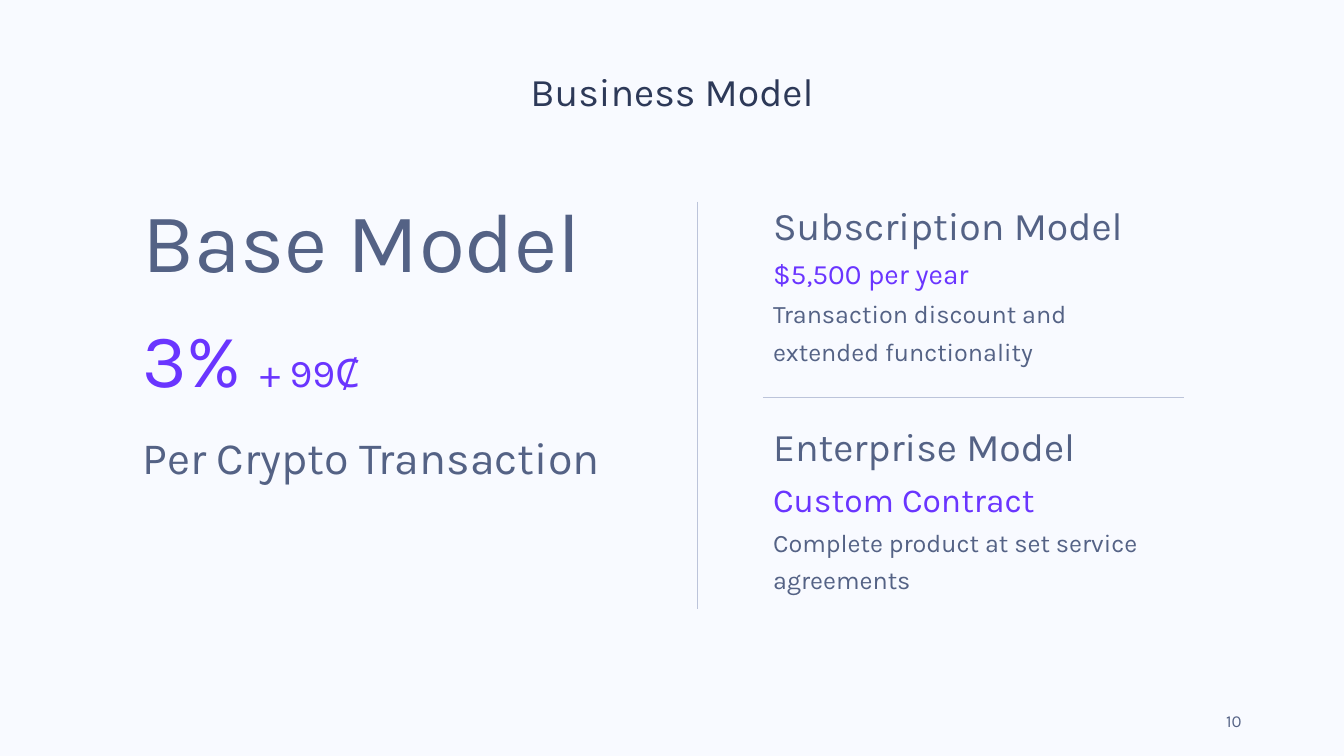
from lxml import etree
from pptx import Presentation
from pptx.dml.color import RGBColor
from pptx.enum.shapes import MSO_CONNECTOR
from pptx.enum.text import MSO_ANCHOR, MSO_AUTO_SIZE, PP_ALIGN
from pptx.oxml.ns import qn
from pptx.util import Pt

STRAIGHT = MSO_CONNECTOR.STRAIGHT
TOP, MIDDLE = MSO_ANCHOR.TOP, MSO_ANCHOR.MIDDLE
LEFT, CENTER, RIGHT = PP_ALIGN.LEFT, PP_ALIGN.CENTER, PP_ALIGN.RIGHT

FONT = "Karla"
COLORS = {
    "background": "F8FAFF",
    "title": "2D3958",
    "text": "546285",
    "price": "6A35FF",
    "divider": "BCC4DA",
}

TITLE = [(1, [("Business Model", 28, "title")])]
PAGE_NUMBER = [(1, [("10", 12, "text")])]
BASE_MODEL = [
    (1.25, [("Base Model", 60, "text")]),
    (1.25, [("3% ", 54, "price"), ("+ 99Ȼ", 28, "price")]),
    (1.5, [("Per Crypto Transaction", 32, "text")]),
]
SUBSCRIPTION_MODEL = [
    (1.25, [("Subscription Model", 28, "text")]),
    (1.25, [("$5,500 per year", 20, "price")]),
    (1.25, [("Transaction discount and extended functionality", 18, "text")]),
]
ENTERPRISE_MODEL = [
    (1.25, [("Enterprise Model", 28, "text")]),
    (1.25, [("Custom Contract", 24, "price")]),
    (1.25, [("Complete product at set service agreements", 18, "text")]),
]

SLIDE_W, SLIDE_H = 960, 540
TITLE_W = 690
RIGHT_X = 545
MODEL_H = 139.5
SUBSCRIPTION_Y = 135.5
ENTERPRISE_Y = 293
TITLE_BOX = ((SLIDE_W - TITLE_W) / 2, 44.5, TITLE_W, 55.5)
BASE_BOX = (94.5, 116.5, 364.5, 317)
SUBSCRIPTION_BOX = (RIGHT_X, SUBSCRIPTION_Y, 276, MODEL_H)
ENTERPRISE_BOX = (RIGHT_X, ENTERPRISE_Y, 336, MODEL_H)
PAGE_BOX = (678, 500.5, 216, 29)
DIVIDERS = [
    (498.5, 144, 498.5, 435),
    (RIGHT_X, 284.25, 845.5, 284.25),
]


def rgb(name):
    return RGBColor.from_string(COLORS[name])


def write(holder, box, paragraphs, align=LEFT, anchor=TOP, inset=0):
    holder.left, holder.top, holder.width, holder.height = map(Pt, box)
    frame = holder.text_frame
    frame.word_wrap = True
    frame.auto_size = MSO_AUTO_SIZE.NONE
    frame.vertical_anchor = anchor
    frame.margin_left = frame.margin_right = Pt(7.2)
    frame.margin_top = frame.margin_bottom = Pt(inset)
    for index, (line_spacing, runs) in enumerate(paragraphs):
        paragraph = frame.add_paragraph() if index else frame.paragraphs[0]
        properties = paragraph._p.get_or_add_pPr()
        properties.set("marL", "0")
        properties.set("indent", "0")
        etree.SubElement(properties, qn("a:buNone"))
        paragraph.alignment = align
        paragraph.line_spacing = line_spacing
        paragraph.space_before = paragraph.space_after = Pt(0)
        for words, size, color in runs:
            run = paragraph.add_run()
            run.text = words
            run.font.name = FONT
            run.font.size = Pt(size)
            run.font.bold = False
            run.font.color.rgb = rgb(color)


def draw_divider(slide, ends):
    divider = slide.shapes.add_connector(STRAIGHT, *map(Pt, ends))
    divider.line.color.rgb = rgb("divider")
    divider.line.width = Pt(0.75)
    etree.SubElement(divider._element.spPr, qn("a:effectLst"))


def main():
    deck = Presentation()
    deck.slide_width, deck.slide_height = Pt(SLIDE_W), Pt(SLIDE_H)
    slide = deck.slides.add_slide(deck.slide_layouts.get_by_name("Comparison"))
    slide.background.fill.solid()
    slide.background.fill.fore_color.rgb = rgb("background")

    title, base, subscription, enterprise, spare = slide.placeholders
    spare._element.getparent().remove(spare._element)
    write(title, TITLE_BOX, TITLE, align=CENTER, inset=3.6)
    write(base, BASE_BOX, BASE_MODEL)
    write(subscription, SUBSCRIPTION_BOX, SUBSCRIPTION_MODEL)
    write(enterprise, ENTERPRISE_BOX, ENTERPRISE_MODEL)

    page_number = slide.shapes.add_textbox(*map(Pt, PAGE_BOX))
    write(page_number, PAGE_BOX, PAGE_NUMBER, RIGHT, MIDDLE, 3.6)
    for ends in DIVIDERS:
        draw_divider(slide, ends)
    deck.save("out.pptx")


if __name__ == "__main__":
    main()
